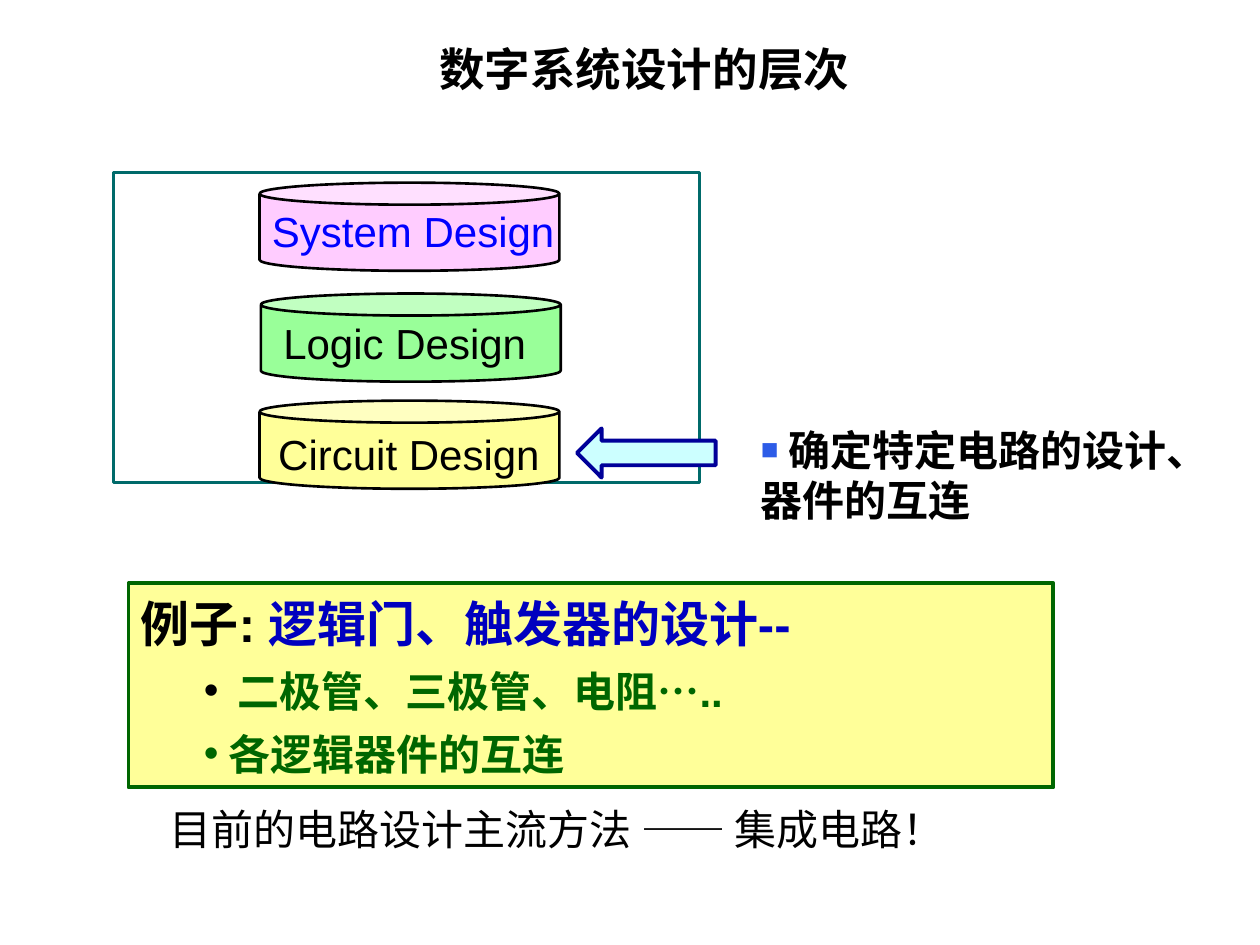
from dataclasses import dataclass

from lxml import etree
from pptx import Presentation
from pptx import util as u
from pptx.dml.color import RGBColor
from pptx.enum import lang, shapes, text
from pptx.oxml.ns import qn

BLACK = RGBColor(0x00, 0x00, 0x00)
BLUE = RGBColor(0x00, 0x00, 0xFF)
DEEP_BLUE = RGBColor(0x00, 0x00, 0xBF)
NAVY = RGBColor(0x00, 0x00, 0x99)
TEAL = RGBColor(0x00, 0x6A, 0x6A)
GREEN = RGBColor(0x00, 0x66, 0x00)
PINK = RGBColor(0xFF, 0xCC, 0xFF)
LIGHT_GREEN = RGBColor(0x99, 0xFF, 0x99)
YELLOW = RGBColor(0xFF, 0xFF, 0x99)
PALE_CYAN = RGBColor(0xCC, 0xFF, 0xFF)


@dataclass
class Box:
    left: float
    top: float
    width: float
    height: float

    def emu(self) -> list[int]:
        return [u.Inches(v) for v in (self.left, self.top, self.width, self.height)]


@dataclass
class Level:
    """One layer of the design stack: a cylinder and its label."""
    name: str
    can: Box
    label: Box
    fill: RGBColor
    color: RGBColor = BLACK


LEVELS = [
    Level("System Design", Box(2.06, 1.45, 2.38, 0.7), Box(2.06, 1.58, 2.46, 0.51), PINK, BLUE),
    Level("Logic Design", Box(2.07, 2.33, 2.38, 0.7), Box(2.15, 2.47, 2.31, 0.51), LIGHT_GREEN),
    Level("Circuit Design", Box(2.06, 3.18, 2.38, 0.7), Box(2.11, 3.35, 2.46, 0.51), YELLOW),
]


def add_run(p, content: str, *, size: float = 24, color: RGBColor = BLACK,
            bold: bool = False) -> None:
    r = p.add_run()
    r.text = content
    r.font.name = "Arial"
    r.font.size = u.Pt(size)
    r.font.bold = bold
    r.font.color.rgb = color
    r.font.language_id = lang.MSO_LANGUAGE_ID.SIMPLIFIED_CHINESE


def add_bullet(p, char: str, *, indent: float = 0, color: str = "", percent: int = 100) -> None:
    pPr = p._p.get_or_add_pPr()
    pPr.set("marL", str(u.Inches(indent)))
    pPr.set("indent", "0")
    if color:
        clr = etree.SubElement(pPr, qn("a:buClr"))
        etree.SubElement(clr, qn("a:srgbClr")).set("val", color)
    etree.SubElement(pPr, qn("a:buSzPct")).set("val", str(percent * 1000))
    etree.SubElement(pPr, qn("a:buFont")).set("typeface", "Arial")
    etree.SubElement(pPr, qn("a:buChar")).set("char", char)


def prepare_frame(sp):
    tf = sp.text_frame
    tf.word_wrap = True
    tf.auto_size = text.MSO_AUTO_SIZE.SHAPE_TO_FIT_TEXT
    tf.vertical_anchor = text.MSO_ANCHOR.TOP
    return tf


def add_text(parent, box: Box, content: str, **fmt):
    """Add a one-paragraph text box and return its paragraph."""
    p = prepare_frame(parent.add_textbox(*box.emu())).paragraphs[0]
    add_run(p, content, **fmt)
    return p


def add_shape(parent, kind, box: Box, line: RGBColor, weight: float,
              fill: RGBColor | None = None):
    sp = parent.add_shape(kind, *box.emu())
    sp.shadow.inherit = False
    if fill is None:
        sp.fill.background()
    else:
        sp.fill.solid()
        sp.fill.fore_color.rgb = fill
    sp.line.color.rgb = line
    sp.line.width = u.Pt(weight)
    return sp


def add_examples(parent) -> None:
    sp = add_shape(parent, shapes.MSO_SHAPE.RECTANGLE, Box(1.02, 4.63, 7.34, 1.62),
                   GREEN, 2.25, YELLOW)
    tf = prepare_frame(sp)
    heading, parts, wiring = tf.paragraphs[0], tf.add_paragraph(), tf.add_paragraph()
    for p in tf.paragraphs:
        p.alignment = text.PP_ALIGN.LEFT
        p.line_spacing = u.Pt(36)
    add_run(heading, "例子: ", size=28, bold=True)
    add_run(heading, "逻辑门、触发器的设计--", size=28, color=DEEP_BLUE, bold=True)
    for p in (parts, wiring):
        p.level = 1
        add_bullet(p, "•", indent=0.5)
    add_run(parts, " ", bold=True)
    add_run(parts, " 二极管、三极管、电阻…..", color=GREEN, bold=True)
    add_run(wiring, " 各逻辑器件的互连", color=GREEN, bold=True)


def add_stack(parent) -> None:
    group = parent.add_group_shape().shapes
    add_shape(group, shapes.MSO_SHAPE.RECTANGLE, Box(0.9, 1.37, 4.65, 2.46), TEAL, 1.5)
    for level in LEVELS:
        can = add_shape(group, shapes.MSO_SHAPE.CAN, level.can, BLACK, 1.5, level.fill)
        can.adjustments[0] = 0.25
        add_text(group, level.label, level.name, color=level.color)


def main() -> None:
    prs = Presentation()
    prs.slide_width, prs.slide_height = u.Inches(10), u.Inches(7.5)
    s = prs.slides.add_slide(prs.slide_layouts[6])

    note = add_text(s.shapes, Box(5.94, 3.32, 3.62, 0.91),
                    " 确定特定电路的设计、器件的互连", bold=True)
    add_bullet(note, "■", color="2D5CE7", percent=70)
    add_text(s.shapes, Box(1.25, 6.33, 6.95, 0.51), "目前的电路设计主流方法 —— 集成电路！")
    add_examples(s.shapes)
    title = add_text(s.shapes, Box(1.06, 0.28, 8.11, 0.54), "数字系统设计的层次",
                     size=26, bold=True)
    title.alignment = text.PP_ALIGN.CENTER
    add_stack(s.shapes)
    add_shape(s.shapes, shapes.MSO_SHAPE.LEFT_ARROW, Box(4.58, 3.4, 1.1, 0.39),
              NAVY, 2.25, PALE_CYAN)

    prs.save("out.pptx")


if __name__ == "__main__":
    main()
